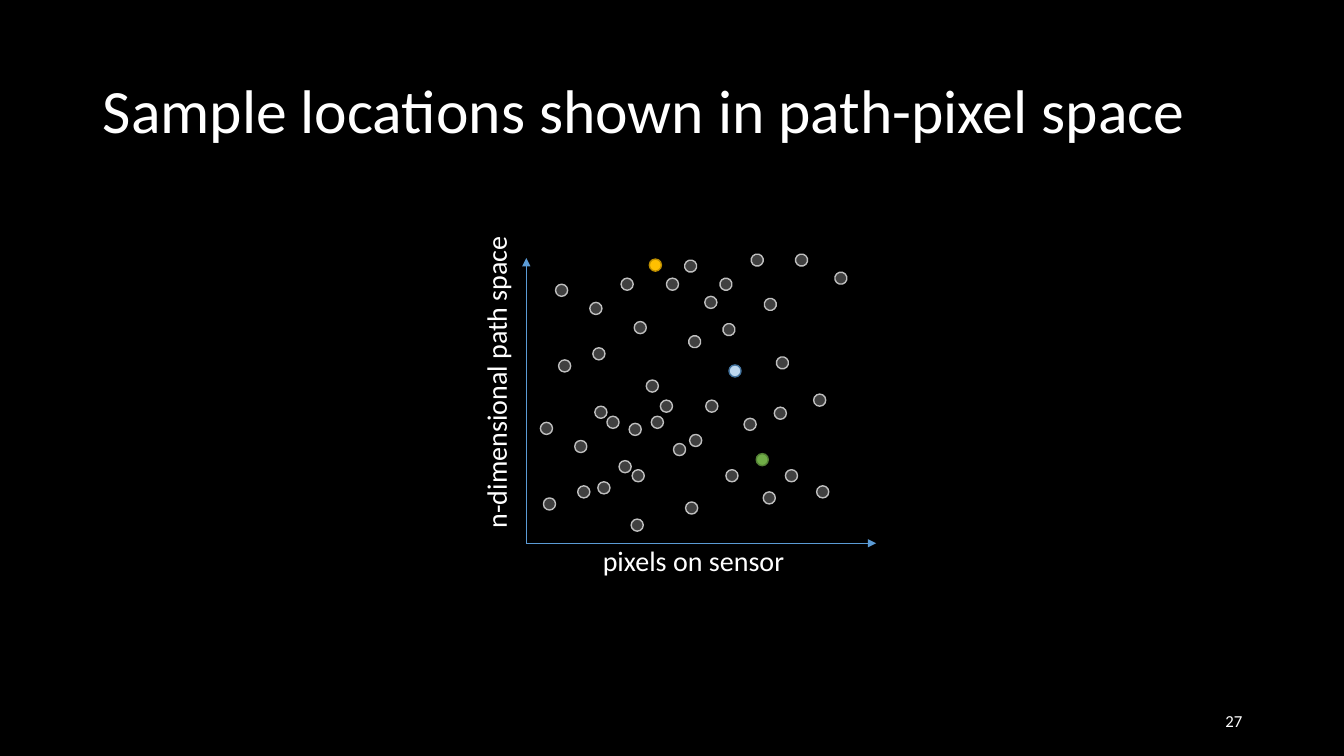
from lxml import etree
from pptx import Presentation
from pptx.dml.color import RGBColor
from pptx.enum.shapes import MSO_CONNECTOR, MSO_SHAPE
from pptx.enum.text import MSO_ANCHOR as Anchor, MSO_AUTO_SIZE as AutoSize, PP_ALIGN as Align
from pptx.oxml.ns import qn
from pptx.util import Inches, Pt

BLACK = RGBColor(0x00, 0x00, 0x00)
WHITE = RGBColor(0xFF, 0xFF, 0xFF)
AXIS_BLUE = RGBColor(0x5B, 0x9B, 0xD5)
DARK_GRAY = RGBColor(0x40, 0x40, 0x40)
LIGHT_GRAY = RGBColor(0xBF, 0xBF, 0xBF)
GREEN = RGBColor(0x70, 0xAD, 0x47)
DARK_GREEN = RGBColor(0x53, 0x80, 0x35)
PALE_BLUE = RGBColor(0xBD, 0xD7, 0xEE)
DARK_BLUE = RGBColor(0x43, 0x73, 0x9E)
GOLD = RGBColor(0xFF, 0xC0, 0x00)
DARK_GOLD = RGBColor(0xBD, 0x8E, 0x00)

DOT_SIZE = 0.12


def write_text(shape, text, size, align=Align.LEFT):
    paragraph = shape.text_frame.paragraphs[0]
    paragraph.alignment = align
    run = paragraph.add_run()
    run.text = text
    run.font.name = "Calibri"
    run.font.size = Pt(size)
    run.font.color.rgb = WHITE
    return paragraph


def add_dot(left, top, fill, outline, rotation=0):
    dot = slide.shapes.add_shape(MSO_SHAPE.OVAL, Inches(left), Inches(top),
                                 Inches(DOT_SIZE), Inches(DOT_SIZE))
    dot.rotation = rotation
    dot.shadow.inherit = False
    dot.fill.solid()
    dot.fill.fore_color.rgb = fill
    dot.line.color.rgb = outline
    dot.line.width = Pt(1)


presentation = Presentation()
presentation.slide_width = Inches(13.33)
presentation.slide_height = Inches(7.5)
slide = presentation.slides.add_slide(presentation.slide_layouts[5])
slide.background.fill.solid()
slide.background.fill.fore_color.rgb = BLACK

# Title
title = slide.shapes.title
title.left, title.top = Inches(0.92), Inches(0.4)
title.width, title.height = Inches(11.5), Inches(1.45)
title.text_frame.vertical_anchor = Anchor.MIDDLE
title.text_frame.auto_size = AutoSize.NONE
write_text(title, "Sample locations shown in path-pixel space", 44).line_spacing = 0.9

# Slide number
number = slide.shapes.add_textbox(Inches(9.42), Inches(6.95), Inches(3), Inches(0.4))
number.text_frame.word_wrap = True
number.text_frame.vertical_anchor = Anchor.MIDDLE
write_text(number, "27", 12, Align.RIGHT)

# Axes, both starting at the origin
origin_x, origin_y = 5.22, 5.39
for end_x, end_y in [(origin_x, 2.56), (8.69, origin_y)]:
    axis = slide.shapes.add_connector(MSO_CONNECTOR.STRAIGHT, Inches(origin_x), Inches(origin_y),
                                      Inches(end_x), Inches(end_y))
    axis.line.color.rgb = AXIS_BLUE
    axis.line.width = Pt(0.5)
    etree.SubElement(axis.line._get_or_add_ln(), qn("a:tailEnd"), type="triangle")
    etree.SubElement(axis._element.spPr, qn("a:effectLst"))

# Axis labels
for text, left, top, width, rotation, wrap in [
    ("n-dimensional path space", 3.32, 3.52, 3.2, 270, True),
    ("pixels on sensor", 5.88, 5.34, 2.02, 0, False),
]:
    label = slide.shapes.add_textbox(Inches(left), Inches(top), Inches(width), Inches(0.44))
    label.rotation = rotation
    label.text_frame.word_wrap = wrap
    label.text_frame.auto_size = AutoSize.SHAPE_TO_FIT_TEXT
    write_text(label, text, 20)

# Gray samples: clusters of (left, top), each with its rotation
sample_clusters = [
    (0, [(5.51, 2.82), (6.16, 2.76), (5.88, 3.45), (6.99, 2.94), (6.61, 2.76),
         (5.85, 3), (5.54, 3.57), (6.41, 3.77), (6.29, 3.19)]),
    (330, [(5.9, 4.03), (6.55, 3.97), (6.27, 4.66), (7.38, 4.15), (7, 3.97),
           (6.24, 4.2), (5.93, 4.78), (6.8, 4.98), (6.68, 4.4)]),
    (30, [(5.36, 4.19), (6.02, 4.13), (5.73, 4.82), (6.84, 4.31), (6.46, 4.13),
          (5.7, 4.37), (5.39, 4.94), (6.26, 5.15), (6.14, 4.57)]),
    (15, [(6.79, 2.58), (7.45, 2.52), (7.17, 3.21), (8.28, 2.7), (7.89, 2.52),
          (7.14, 2.76), (6.83, 3.33), (7.7, 3.54), (7.58, 2.96)]),
    (330, [(7.2, 4.66), (7.68, 4.04), (7.79, 4.66), (7.57, 4.88), (8.1, 4.82),
           (8.07, 3.91)]),
]
for rotation, samples in sample_clusters:
    for left, top in samples:
        add_dot(left, top, DARK_GRAY, LIGHT_GRAY, rotation)

# Highlighted samples
add_dot(7.5, 4.5, GREEN, DARK_GREEN)
add_dot(7.23, 3.62, PALE_BLUE, DARK_BLUE)
add_dot(6.44, 2.57, GOLD, DARK_GOLD)

presentation.save("out.pptx")
